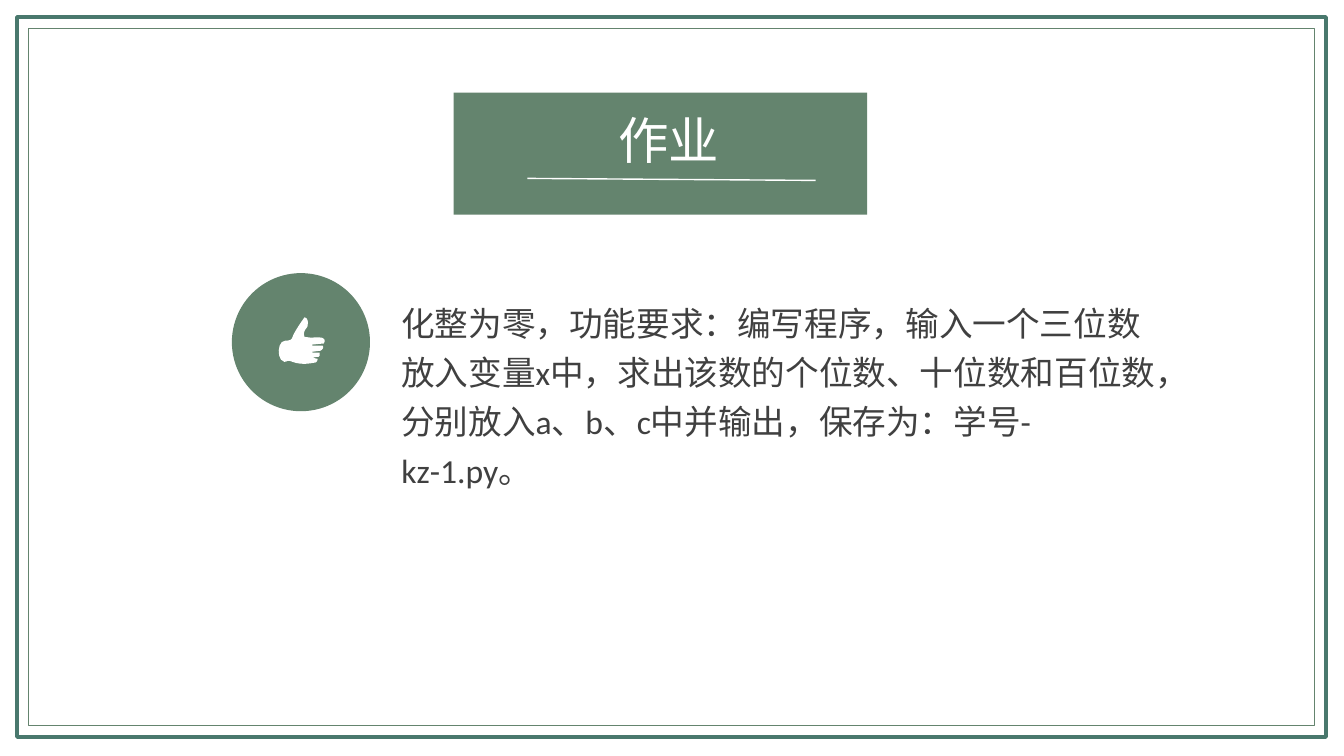
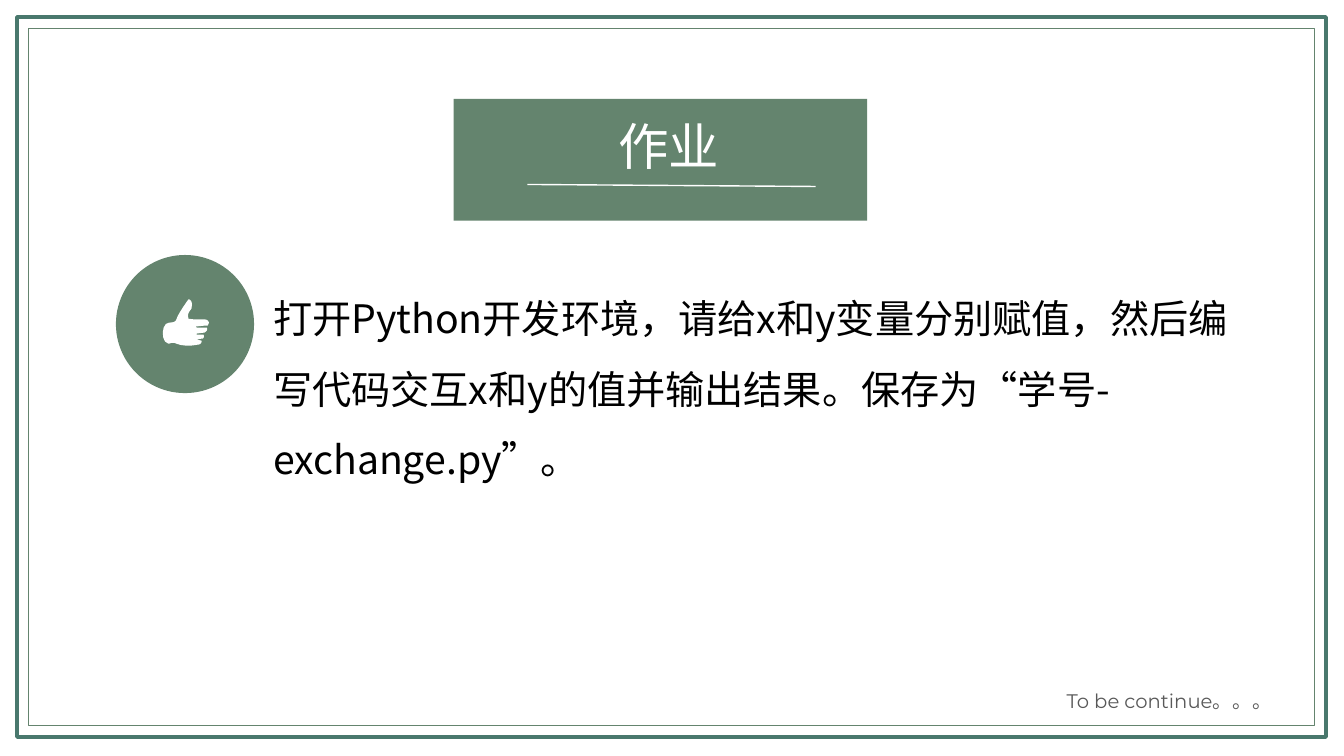
from lxml.etree import SubElement
from pptx import Presentation
from pptx.dml.color import RGBColor
from pptx.enum.shapes import MSO_CONNECTOR as Link, MSO_SHAPE as Kind
from pptx.enum.text import MSO_ANCHOR as Anchor, MSO_AUTO_SIZE as Fit, PP_ALIGN as Align
from pptx.oxml.ns import qn
from pptx.util import Pt

PX = 9144  # EMU per px, 100 px to the inch
WIDE, HIGH = 1333, 750
TEAL, SAGE, WHITE = "49786D", "64846E", "FFFFFF"
DARK, GREY, BLACK = "404040", "595959", "000000"
NOTO = "Noto Sans CJK SC"

# Outline of the thumb: pairs are corners, sixes are Bezier curves
THUMB = [
    (36, 35), (36, 34), (44, 33), (47, 31, 47, 29, 46, 28), (45, 28),
    (36, 28), (35, 27), (45, 26), (47, 26), (48, 24, 49, 23, 47, 21),
    (45, 19, 39, 20, 34, 20), (26, 19), (28, 19),
    (26, 14, 30, 11, 31, 9), (33, 0, 28, 0, 28, 0),
    (28, 0, 17, 15, 16, 20), (15, 23, 11, 23, 9, 23),
    (1, 23, 0, 42, 8, 44), (10, 44, 12, 42, 16, 44),
    (24, 47, 31, 46, 37, 45), (41, 45, 41, 42, 41, 41),
    (36, 40), (35, 40), (36, 40), (37, 40, 39, 39, 42, 39),
    (44, 38, 43, 36, 43, 35), (37, 35),
]


def px(*nums):
    return [round(n * PX) for n in nums]


def rgb(code):
    return RGBColor.from_string(code)


def paint(shape, fill=None, line=None, width=1):
    shape.shadow.inherit = False
    if fill:
        shape.fill.solid()
        shape.fill.fore_color.rgb = rgb(fill)
    else:
        shape.fill.background()
    if line:
        shape.line.color.rgb = rgb(line)
        shape.line.width = Pt(width)
    else:
        shape.line.fill.background()


def flat(path_parts, steps=6):
    """Turn corners and curves into a list of points."""
    dots = []
    for part in path_parts:
        if len(part) == 2:
            dots.append(part)
            continue
        x0, y0 = dots[-1]
        x1, y1, x2, y2, x3, y3 = part
        for i in range(1, steps + 1):
            t = i / steps
            a, b, c, d = (1 - t) ** 3, 3 * t * (1 - t) ** 2, 3 * t * t * (1 - t), t ** 3
            dots.append((a * x0 + b * x1 + c * x2 + d * x3,
                         a * y0 + b * y1 + c * y2 + d * y3))
    return dots


def write(slide, box, at, text, font, size, color, lead, inset=(10, 5),
          align=Align.LEFT, anchor=Anchor.TOP):
    """Place a text shape in front and format it; lead is the line height in points."""
    slide.shapes.element.append(box.element)
    box.left, box.top, box.width, box.height = px(*at)
    frame = box.text_frame
    frame.text = text
    frame.word_wrap = True
    frame.auto_size = Fit.NONE
    frame.vertical_anchor = anchor
    side, edge = px(*inset)
    frame.margin_left = frame.margin_right = side
    frame.margin_top = frame.margin_bottom = edge
    para = frame.paragraphs[0]
    para.alignment = align
    para.line_spacing = Pt(lead)
    para.space_before = Pt(0)
    props = para._p.get_or_add_pPr()
    props.set("marL", "0")
    props.set("indent", "0")
    SubElement(props, qn("a:buNone"))
    run = para.runs[0]
    run.font.name = font
    run.font.size = Pt(size)
    run.font.color.rgb = rgb(color)
    SubElement(run.font._element, qn("a:ea")).set("typeface", NOTO)


def border(slide):
    for gap, color, width in ((17, TEAL, 3), (28, SAGE, 0.5)):
        rect = slide.shapes.add_shape(
            Kind.RECTANGLE, *px(gap, gap, WIDE - 2 * gap - 1, HIGH - 2 * gap - 2))
        paint(rect, line=color, width=width)


def banner(slide, x, y):
    rect = slide.shapes.add_shape(Kind.RECTANGLE, *px(x, y, 410, 121))
    paint(rect, SAGE)
    write(slide, slide.shapes.title, (x + 51, y + 6, 324, 71), "作业",
          NOTO, 36, WHITE, 47, align=Align.CENTER)
    rule = slide.shapes.add_connector(
        Link.STRAIGHT, *px(x + 73, y + 85, x + 359, y + 87))
    rule.line.color.rgb = rgb(WHITE)
    rule.line.width = Pt(1)
    SubElement(rule._element.spPr, qn("a:effectLst"))


def badge(slide, x, y):
    disc = slide.shapes.add_shape(Kind.OVAL, *px(x, y, 137, 137))
    paint(disc, SAGE)
    dots = [(px_x * 10, px_y * 10) for px_x, px_y in flat(THUMB)]
    pen = slide.shapes.build_freeform(*dots[0], scale=PX / 10)
    pen.add_line_segments(dots[1:], close=True)
    paint(pen.convert_to_shape(*px(x + 44, y + 44)), WHITE)


def task(deck, top, disc, at, text, **style):
    """Add a homework slide with its banner, badge and body text."""
    slide = deck.slides.add_slide(deck.slide_layouts[1])
    border(slide)
    badge(slide, *disc)
    banner(slide, 450, top)
    write(slide, slide.placeholders[1], at, text, **style)
    return slide


def main():
    deck = Presentation()
    deck.slide_width, deck.slide_height = px(WIDE, HIGH)
    task(deck, 92, (230, 271), (398, 292, 751, 145),
         "化整为零，功能要求：编写程序，输入一个三位数放入变量x中，求出该数的个位数、"
         "十位数和百位数，分别放入a、b、c中并输出，保存为：学号-kz-1.py。",
         font="Calibri", size=24, color=DARK, lead=35, inset=(0, 0))
    last = task(deck, 98, (115, 253), (261, 267, 992, 214),
                "打开Python开发环境，请给x和y变量分别赋值，然后编写代码交互x和y的值"
                "并输出结果。保存为“学号-exchange.py”。",
                font=NOTO, size=28, color=BLACK, lead=50.4, anchor=Anchor.MIDDLE)
    spot = (1048, 678, 238, 34)
    write(last, last.shapes.add_textbox(*px(*spot)), spot,
          "To be continue。。。", "Montserrat", 14, GREY, 17)
    deck.save("out.pptx")


if __name__ == "__main__":
    main()
